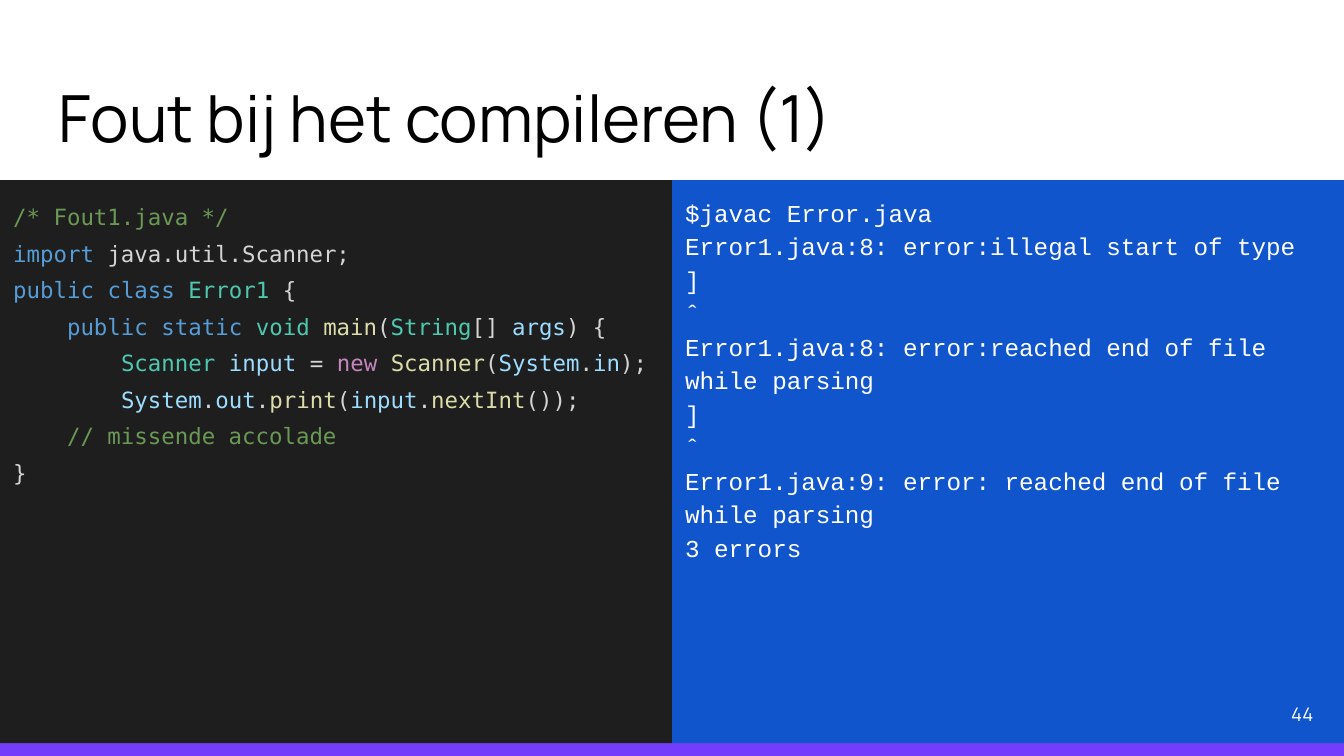
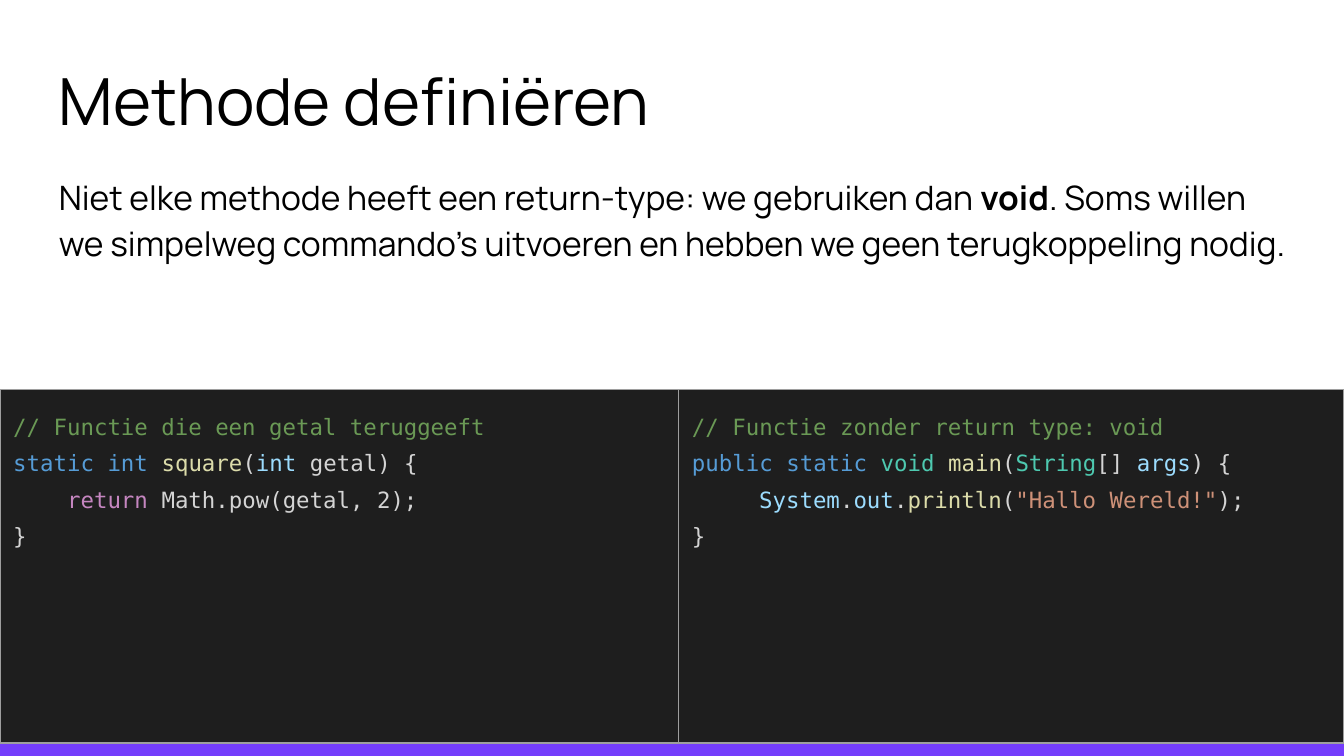
"""Build two Java lesson slides with code panels."""
from dataclasses import dataclass, field

from pptx import Presentation
from pptx import util as u
from pptx.dml.color import RGBColor
from pptx.enum import shapes, text

PX = 4572
WIDTH, HEIGHT = 2000, 1125
BAND_TOP = 1104
PANEL_BOTTOM = 1106


@dataclass
class Font:
    """Typeface, size, colour and line spacing of one kind of text."""
    name: str
    size: float
    color: str
    spacing: float = 1.0


@dataclass
class Theme:
    """Colours and type sizes shared by the slides."""
    band: str = "743DFB"
    code_fill: str = "1E1E1E"
    output_fill: str = "1155CC"
    border: str = "9E9E9E"
    title: Font = field(default_factory=lambda: Font("Manrope", 34.8, "000000"))
    body: Font = field(default_factory=lambda: Font("Manrope", 18, "000000", 1.15))
    code: Font = field(default_factory=lambda: Font("DejaVu Sans Mono", 12, "D4D4D4", 1.36))
    output: Font = field(default_factory=lambda: Font("Courier New", 13, "FFFFFF", 1.15))
    number: Font = field(default_factory=lambda: Font("Manrope", 10, "FFFFFF"))
    syntax: dict = field(default_factory=lambda: {
        "comment": "6A9955", "key": "569CD6", "type": "4EC9B0", "call": "DCDCAA",
        "var": "9CDCFE", "flow": "C586C0", "str": "CE9178"})


class Deck:
    """Holds the theme and the current slide and draws each kind of element."""

    def __init__(self, theme):
        """Start an empty deck of the right size."""
        self.theme = theme
        self.prs = Presentation()
        self.prs.slide_width, self.prs.slide_height = WIDTH * PX, HEIGHT * PX
        self.s = None

    def slide(self):
        """Add a blank slide with the band along its foot."""
        self.s = self.prs.slides.add_slide(self.prs.slide_layouts[6])
        self.rect(0, BAND_TOP, WIDTH, HEIGHT - BAND_TOP, self.theme.band)

    def rect(self, x, y, w, h, fill, border=None):
        """Draw a filled rectangle, with a thin outline if a border is given."""
        sp = self.s.shapes.add_shape(
            shapes.MSO_SHAPE.RECTANGLE, x * PX, y * PX, w * PX, h * PX)
        sp.shadow.inherit = False
        sp.fill.solid()
        sp.fill.fore_color.rgb = RGBColor.from_string(fill)
        if border:
            sp.line.color.rgb = RGBColor.from_string(border)
            sp.line.width = u.Pt(0.75)
        else:
            sp.line.fill.background()
        return sp

    def add_words(self, p, content, font, mark=None):
        """Add a run, bold or coloured by its mark."""
        r = p.add_run()
        r.text = content
        r.font.name, r.font.size = font.name, u.Pt(font.size)
        r.font.bold = mark == "bold"
        r.font.color.rgb = RGBColor.from_string(self.theme.syntax.get(mark, font.color))

    def fill_text(self, sp, lines, font, anchor=text.MSO_ANCHOR.TOP, align=text.PP_ALIGN.LEFT):
        """Set paragraphs where `mark words` sets a style and a tab indents the first line."""
        tf = sp.text_frame
        tf.word_wrap = True
        tf.vertical_anchor = anchor
        tf.margin_left = tf.margin_right = tf.margin_top = tf.margin_bottom = 20 * PX
        for i, line in enumerate(lines):
            p = tf.add_paragraph() if i else tf.paragraphs[0]
            p.alignment, p.line_spacing = align, font.spacing
            if line.startswith("\t"):
                pPr = p._p.get_or_add_pPr()
                pPr.set("marL", "0")
                pPr.set("indent", str(100 * PX))
            for j, part in enumerate(line.lstrip("\t").split("`")):
                if j % 2:
                    mark, words = part.split(" ", 1)
                    self.add_words(p, words, font, mark)
                    continue
                for k, row in enumerate(part.split("\n")):
                    if k:
                        p.add_line_break()
                    if row:
                        self.add_words(p, row, font)

    def text(self, x, y, w, h, content, font, **layout):
        """Place a text box."""
        box = self.s.shapes.add_textbox(x * PX, y * PX, w * PX, h * PX)
        self.fill_text(box, [content], font, **layout)

    def code(self, x, y, w, lines, border=None):
        """Place a dark code panel that reaches down to the band."""
        sp = self.rect(x, y, w, PANEL_BOTTOM - y, self.theme.code_fill, border)
        self.fill_text(sp, lines, self.theme.code)

    def output(self, x, y, w, content):
        """Place a blue panel with console output."""
        sp = self.rect(x, y, w, PANEL_BOTTOM - y, self.theme.output_fill)
        self.fill_text(sp, [content], self.theme.output)
        sp.text_frame.paragraphs[0].space_after = u.Pt(12)


MAIN = ("`key public` `key static` `type void` `call main`"
        "(`type String`[] `var args`) {")

FAULTY_CLASS = [
    "`comment /* Fout1.java */`",
    "`key import` java.util.Scanner;",
    "`key public` `key class` `type Error1` {",
    "    " + MAIN,
    "        `type Scanner` `var input` = `flow new` `call Scanner`(`var System`.`var in`);",
    "        `var System`.`var out`.`call print`(`var input`.`call nextInt`());",
    "    `comment // missende accolade`",
    "}",
]

COMPILER_OUTPUT = """$javac Error.java
Error1.java:8: error:illegal start of type
]
ˆ
Error1.java:8: error:reached end of file while parsing
]
ˆ
Error1.java:9: error: reached end of file while parsing
3 errors"""

SQUARE_METHOD = [
    "`comment // Functie die een getal teruggeeft`",
    "`key static int` `call square`(`var int` getal) {",
    "`flow     return` Math.pow(getal, 2);",
    "}",
]

VOID_METHOD = [
    "`comment // Functie zonder return type: void`",
    MAIN,
    "\t`var System`.`var out`.`call println`(`str \"Hallo Wereld!\"`);",
    "}",
]


def main():
    """Build both slides and save them."""
    theme = Theme()
    deck = Deck(theme)

    deck.slide()
    deck.text(68, 70, 1864, 182, "Fout bij het compileren (1)", theme.title,
              anchor=text.MSO_ANCHOR.BOTTOM)
    deck.output(1000, 268, 1000, COMPILER_OUTPUT)
    deck.code(0, 268, 1000, FAULTY_CLASS)
    deck.text(1854, 1020, 120, 86, "44", theme.number,
              anchor=text.MSO_ANCHOR.MIDDLE, align=text.PP_ALIGN.RIGHT)

    deck.slide()
    deck.text(68, 70, 1904, 174, "Methode definiëren", theme.title)
    deck.text(68, 234, 1872, 268,
              "Niet elke methode heeft een return-type: we gebruiken dan `bold void`. "
              "Soms willen we simpelweg commando’s uitvoeren en hebben we geen "
              "terugkoppeling nodig.", theme.body)
    split = 1010
    deck.code(0, 580, split, SQUARE_METHOD, theme.border)
    deck.code(split, 580, WIDTH - split, VOID_METHOD, theme.border)

    deck.prs.save("out.pptx")


if __name__ == "__main__":
    main()
